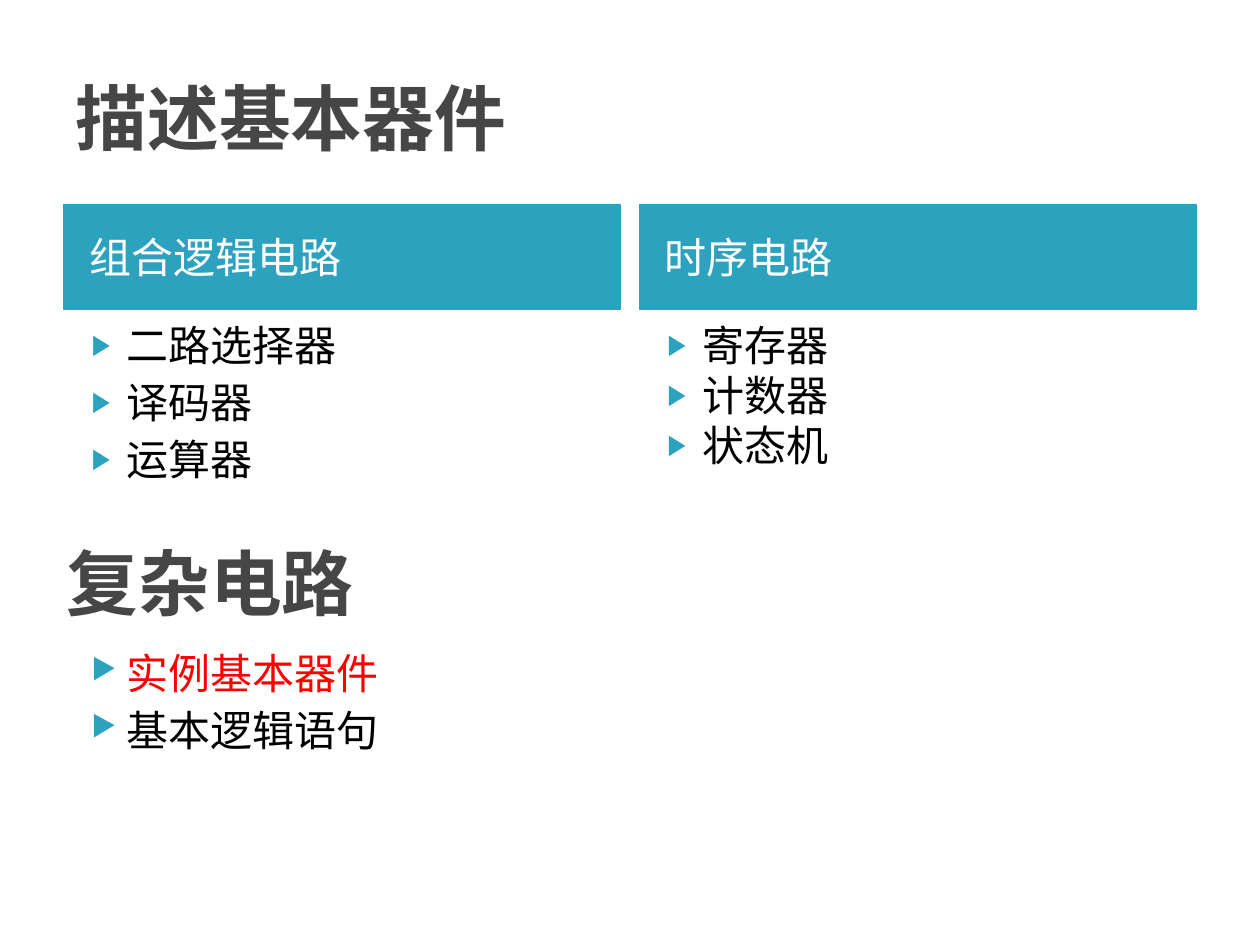
from lxml.etree import SubElement
from pptx import Presentation
from pptx.dml.color import RGBColor
from pptx.enum.text import MSO_ANCHOR as Anchor, MSO_AUTO_SIZE as AutoSize, PP_ALIGN as Align
from pptx.oxml.ns import qn
from pptx.util import Pt

FONT = "Noto Sans Mono"
TEAL = RGBColor(0x2D, 0xA2, 0xBF)
GRAY = RGBColor(0x46, 0x46, 0x46)
WHITE = RGBColor(0xFF, 0xFF, 0xFF)
BLACK = RGBColor(0, 0, 0)
RED = RGBColor(0xFF, 0, 0)

# Content
TITLE = "描述基本器件"
COLUMNS = [
    # heading, items, space before each item, list height
    ("组合逻辑电路", ["二路选择器", "译码器", "运算器"], 4, 136),
    ("时序电路", ["寄存器", "计数器", "状态机"], 0, 130.5),
]
COMPLEX_TITLE = "复杂电路"
COMPLEX_ITEMS = ["实例基本器件", "基本逻辑语句"]

# Layout in points
LEFT, COLUMN_WIDTH, COLUMN_STEP = 36.5, 318.25, 329
HEADING_TOP, HEADING_HEIGHT = 116.75, 60
LIST_TOP, COMPLEX_LIST_TOP, LIST_HEIGHT = 179.25, 366.5, 136
TITLE_WIDTH, TITLE_HEIGHT = 648, 90


def place(shape, left, top, width, height, anchor):
    shape.left, shape.top = Pt(left), Pt(top)
    shape.width, shape.height = Pt(width), Pt(height)
    frame = shape.text_frame
    frame.word_wrap = True
    frame.auto_size = AutoSize.NONE
    frame.vertical_anchor = anchor
    frame.margin_left = frame.margin_right = Pt(7.2)
    frame.margin_top = frame.margin_bottom = Pt(3.6)


def write(paragraph, text, size, color, bold=False, before=0):
    paragraph.text = text
    paragraph.alignment = Align.LEFT
    paragraph.space_before = Pt(before)
    font = paragraph.font
    font.name, font.size, font.bold = FONT, Pt(size), bold
    font.color.rgb = color


def add_bullet(paragraph):
    properties = paragraph._p.get_or_add_pPr()
    properties.set("marL", str(Pt(28.8)))
    properties.set("indent", str(-Pt(20.16)))
    color = SubElement(properties, qn("a:buClr"))
    SubElement(color, qn("a:srgbClr"), val=str(TEAL))
    SubElement(properties, qn("a:buSzPct"), val="68000")
    SubElement(properties, qn("a:buChar"), char="▶")
    # Default run properties come after the bullet in the schema
    defaults = properties.find(qn("a:defRPr"))
    if defaults is not None:
        properties.append(defaults)


def fill_title(shape, text, left, top):
    place(shape, left, top, TITLE_WIDTH, TITLE_HEIGHT, Anchor.MIDDLE)
    write(shape.text_frame.paragraphs[0], text, 41, GRAY, bold=True)


def fill_list(shape, items, left, top, height, before, colors):
    place(shape, left, top, COLUMN_WIDTH, height, Anchor.TOP)
    frame = shape.text_frame
    for index, (item, color) in enumerate(zip(items, colors)):
        paragraph = frame.paragraphs[0] if index == 0 else frame.add_paragraph()
        write(paragraph, item, 24, color, before=before)
        paragraph.line_spacing = Pt(28.6)
        add_bullet(paragraph)


def fill_heading(shape, text, left):
    place(shape, left, HEADING_TOP, COLUMN_WIDTH, HEADING_HEIGHT, Anchor.MIDDLE)
    shape.text_frame.margin_left = Pt(14.4)
    shape.fill.solid()
    shape.fill.fore_color.rgb = TEAL
    shape.line.color.rgb = TEAL
    shape.line.width = Pt(0.75)
    write(shape.text_frame.paragraphs[0], text, 24, WHITE, before=4)


def main():
    presentation = Presentation()
    presentation.slide_width, presentation.slide_height = Pt(720), Pt(540)
    # Comparison layout: a title and two headed lists
    slide = presentation.slides.add_slide(presentation.slide_layouts[4])
    shapes, placeholders = slide.shapes, slide.placeholders

    # Basic devices
    fill_title(shapes.title, TITLE, 36, 21.6)
    for index, (heading, items, before, height) in enumerate(COLUMNS):
        left = LEFT + index * COLUMN_STEP
        fill_heading(placeholders[1 + 2 * index], heading, left)
        fill_list(placeholders[2 + 2 * index], items, left, LIST_TOP, height,
                  before, [BLACK] * len(items))

    # Complex circuits
    fill_title(shapes.add_textbox(0, 0, 0, 0), COMPLEX_TITLE, 31, 287.25)
    fill_list(shapes.add_textbox(0, 0, 0, 0), COMPLEX_ITEMS, LEFT, COMPLEX_LIST_TOP,
              LIST_HEIGHT, 4, [RED, BLACK])

    presentation.save("out.pptx")


if __name__ == "__main__":
    main()
